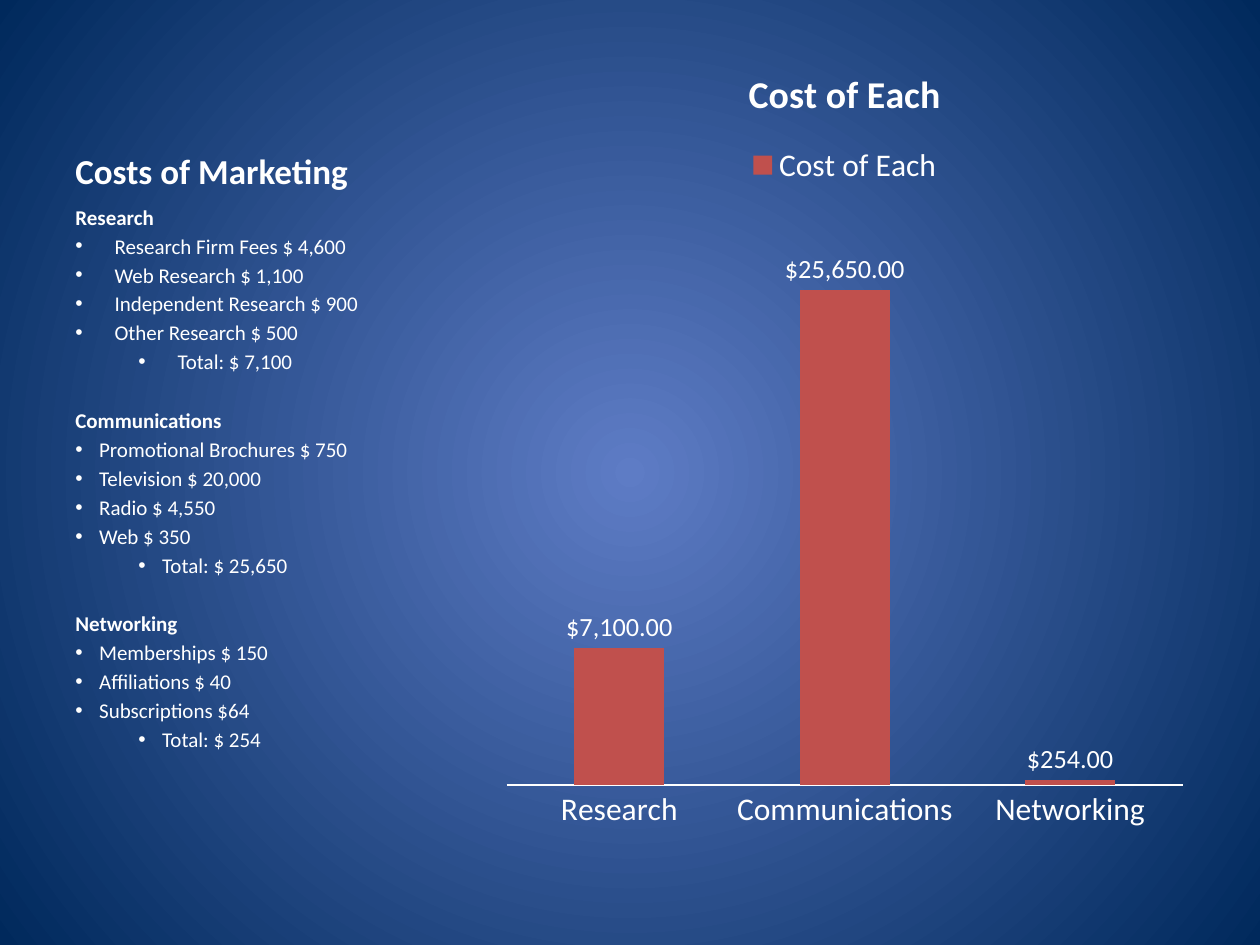
import dataclasses
import typing

import lxml.etree
import pptx
import pptx.chart.data
import pptx.dml.color
import pptx.enum.chart
import pptx.enum.text
import pptx.oxml.ns
import pptx.util

Cm = pptx.util.Cm
Pt = pptx.util.Pt
qn = pptx.oxml.ns.qn

HUES = {"text": "FFFFFF", "bar": "C0504D", "glow": "5E7CC5", "edge": "00295C"}
FACE = "Calibri"
MONEY = '"$"#,##0.00'
LEFT, TOP, WIDE = 1.27, 0.76, 8.36
STEP = 1.27  # extra indent of a total
GAP, LINE = 2.15, 14.65  # points between lines, points in a line


@dataclasses.dataclass
class Group:
    name: str
    items: list[str]
    total: str
    indent: float = 0.48


GROUPS = [
    Group("Research",
          ["Research Firm Fees $ 4,600", "Web Research $ 1,100",
           "Independent Research $ 900", "Other Research $ 500"],
          "Total: $ 7,100", 0.79),
    Group("Communications",
          ["Promotional Brochures $ 750", "Television $ 20,000",
           "Radio $ 4,550", "Web $ 350"],
          "Total: $ 25,650"),
    Group("Networking",
          ["Memberships $ 150", "Affiliations $ 40", "Subscriptions $64"],
          "Total: $ 254"),
]
COSTS = {"Research": 7100, "Communications": 25650, "Networking": 254}


def tint(name: str) -> pptx.dml.color.RGBColor:
    return pptx.dml.color.RGBColor.from_string(HUES[name])


def assign(thing: typing.Any, values: dict[str, typing.Any]) -> None:
    for key, value in values.items():
        setattr(thing, key, value)


def set_font(font: typing.Any, size: float, bold: bool = False) -> None:
    assign(font, {"name": FACE, "size": Pt(size), "bold": bold})
    font.color.rgb = tint("text")


def paint_back(slide: typing.Any) -> None:
    fill = slide.background.fill
    fill.gradient()
    for stop, name, place in zip(fill.gradient_stops, ("glow", "edge"), (0, 1)):
        stop.color.rgb = tint(name)
        stop.position = place
    # Turn the linear blend into a round one
    line = next(slide.element.iter(qn("a:lin")))
    blend = line.getparent()
    blend.remove(line)
    round_path = lxml.etree.SubElement(blend, qn("a:path"), path="circle")
    lxml.etree.SubElement(round_path, qn("a:fillToRect"),
                          {side: "50000" for side in "ltrb"})


def add_box(slide: typing.Any, top: float, high: float, anchor: typing.Any) -> typing.Any:
    box = slide.shapes.add_textbox(Cm(LEFT), Cm(top), Cm(WIDE), Cm(high))
    assign(box.text_frame, {"word_wrap": True, "vertical_anchor": anchor})
    return box.text_frame


def write(para: typing.Any, text: str, size: float, bold: bool = False,
          space: float = 0) -> None:
    para.space_before = Pt(space)
    run = para.add_run()
    run.text = text
    set_font(run.font, size, bold)


def add_dot(para: typing.Any, indent: float, level: int = 0) -> None:
    para.level = level
    props = para._p.get_or_add_pPr()
    props.set("marL", str(Cm(indent + level * STEP)))
    props.set("indent", str(-Cm(indent)))
    lxml.etree.SubElement(props, qn("a:buFont"), typeface="Arial")
    lxml.etree.SubElement(props, qn("a:buChar"), char="•")


def list_costs(frame: typing.Any) -> None:
    for place, group in enumerate(GROUPS):
        head = frame.add_paragraph() if place else frame.paragraphs[0]
        write(head, group.name, 12, True, 2 * GAP + LINE if place else 0)
        rows = [(item, 0) for item in group.items] + [(group.total, 1)]
        for text, level in rows:
            para = frame.add_paragraph()
            write(para, text, 12, space=GAP)
            add_dot(para, group.indent, level)


def add_bars(slide: typing.Any) -> None:
    kinds = pptx.enum.chart
    data = pptx.chart.data.CategoryChartData(number_format=MONEY)
    data.categories = list(COSTS)
    data.add_series("Cost of Each", list(COSTS.values()))
    chart = slide.shapes.add_chart(
        kinds.XL_CHART_TYPE.COLUMN_CLUSTERED,
        Cm(9.93), Cm(TOP), Cm(14.2), Cm(16.26), data).chart
    set_font(chart.font, 18)

    # Title and legend
    assign(chart, {"has_title": True, "has_legend": True})
    write(chart.chart_title.text_frame.paragraphs[0], "Cost of Each", 21.6, True)
    assign(chart.legend, {"position": kinds.XL_LEGEND_POSITION.TOP,
                          "include_in_layout": False})

    # Axes
    none = kinds.XL_TICK_MARK.NONE
    assign(chart.category_axis, {"major_tick_mark": none, "minor_tick_mark": none,
                                 "has_major_gridlines": False})
    chart.category_axis.format.line.color.rgb = tint("text")
    assign(chart.value_axis, {"visible": False, "has_major_gridlines": False})

    # Bars and labels
    plot = chart.plots[0]
    assign(plot, {"gap_width": 150, "overlap": -25, "vary_by_categories": False,
                  "has_data_labels": True})
    bars = plot.series[0]
    bars.invert_if_negative = False
    bars.format.fill.solid()
    bars.format.fill.fore_color.rgb = tint("bar")
    labels = plot.data_labels
    assign(labels, {"show_value": True, "number_format": MONEY,
                    "number_format_is_linked": False,
                    "position": kinds.XL_LABEL_POSITION.OUTSIDE_END})
    set_font(labels.font, 15)


def main() -> None:
    deck = pptx.Presentation()
    assign(deck, {"slide_width": Cm(25.4), "slide_height": Cm(19.05)})
    slide = deck.slides.add_slide(deck.slide_layouts[6])
    paint_back(slide)
    anchors = pptx.enum.text.MSO_ANCHOR
    title = add_box(slide, TOP, 3.23, anchors.BOTTOM)
    write(title.paragraphs[0], "Costs of Marketing", 20, True)
    add_bars(slide)
    list_costs(add_box(slide, TOP + 3.23, 13.03, anchors.TOP))
    deck.save("out.pptx")


if __name__ == "__main__":
    main()
